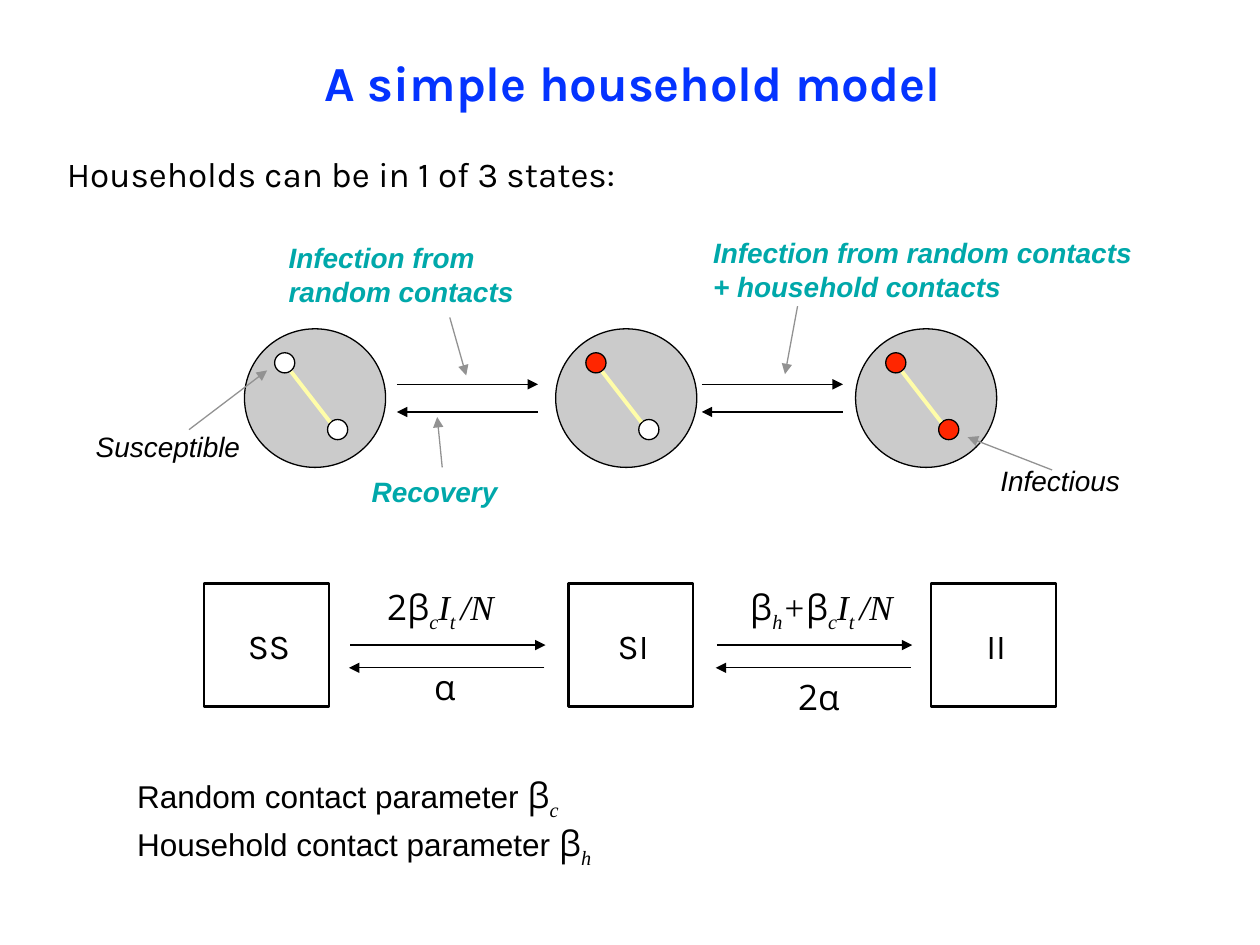
from dataclasses import dataclass

from lxml import etree
from pptx import Presentation
from pptx.dml.color import RGBColor
from pptx.enum import shapes, text
from pptx.oxml import ns
from pptx.util import Inches, Pt


@dataclass(frozen=True)
class Theme:
    title: str = "0433FF"
    ink: str = "000000"
    label: str = "00A8AA"
    pointer: str = "929292"
    house: str = "CBCBCB"
    bond: str = "FFFDA9"
    susceptible: str = "FFFFFF"
    infectious: str = "FF2600"
    heading_font: str = "Karla"
    label_font: str = "Arial"
    greek_font: str = "Open Sans"
    math_font: str = "Times New Roman"
    title_size: int = 28
    text_size: int = 20
    legend_size: int = 18
    label_size: int = 16
    thin: float = 0.75
    medium: float = 1.5
    thick: float = 2.25


def inches(values):
    return [Inches(value) for value in values]


class Page:
    def __init__(self, deck, theme):
        self.theme = theme
        self.slide = deck.slides.add_slide(deck.slide_layouts[1])

    def style(self, font, name, size, color, bold=False, italic=False):
        font.name, font.size = name, Pt(size)
        font.bold, font.italic = bold, italic
        font.color.rgb = RGBColor.from_string(color)

    def frame(self, shape, inset=0.06, anchor=text.MSO_ANCHOR.TOP):
        frame = shape.text_frame
        frame.word_wrap = True
        frame.auto_size = text.MSO_AUTO_SIZE.NONE
        frame.vertical_anchor = anchor
        frame.margin_left = frame.margin_right = Inches(inset)
        frame.margin_top = frame.margin_bottom = Inches(inset)
        return frame

    def indent(self, para, align):
        para.alignment = align
        properties = para._p.get_or_add_pPr()
        properties.set("marL", str(Inches(0.04)))
        properties.set("indent", "0")
        return properties

    def placeholder(self, index, box, words, size, color, bold, align):
        shape = self.slide.placeholders[index]
        shape.left, shape.top, shape.width, shape.height = inches(box)
        para = self.frame(shape).paragraphs[0]
        para.text = words
        properties = self.indent(para, align)
        para.space_before = Pt(0)
        etree.SubElement(properties, ns.qn("a:buNone"))
        self.style(para.font, self.theme.heading_font, size, color, bold)

    def label(self, box, words, color, bold=False):
        shape = self.slide.shapes.add_textbox(*inches(box))
        para = self.frame(shape).paragraphs[0]
        para.text = words
        self.indent(para, text.PP_ALIGN.LEFT)
        self.style(para.font, self.theme.label_font, self.theme.label_size,
                   color, bold, True)

    def formula(self, box, lines, align, inset=0.06):
        theme = self.theme
        kinds = {
            "plain": (theme.label_font, theme.legend_size, False),
            "greek": (theme.greek_font, theme.text_size, False),
            "math": (theme.math_font, theme.text_size, True),
            "sub": (theme.math_font, theme.text_size, True),
        }
        frame = self.frame(self.slide.shapes.add_textbox(*inches(box)), inset)
        for number, spans in enumerate(lines):
            para = frame.add_paragraph() if number else frame.paragraphs[0]
            self.indent(para, align)
            for kind, words in spans:
                span = para.add_run()
                span.text = words
                name, size, italic = kinds[kind]
                self.style(span.font, name, size, theme.ink, italic=italic)
                if kind == "sub":
                    span._r.get_or_add_rPr().set("baseline", "-25000")

    def shape(self, kind, box, fill, width):
        shape = self.slide.shapes.add_shape(kind, *inches(box))
        shape.shadow.inherit = False
        if fill:
            shape.fill.solid()
            shape.fill.fore_color.rgb = RGBColor.from_string(fill)
        else:
            shape.fill.background()
        shape.line.color.rgb = RGBColor.from_string(self.theme.ink)
        shape.line.width = Pt(width)
        return shape

    def line(self, start, end, color, width, arrow=True):
        line = self.slide.shapes.add_connector(
            shapes.MSO_CONNECTOR.STRAIGHT, *inches(start + end))
        line.line.color.rgb = RGBColor.from_string(color)
        line.line.width = Pt(width)
        if arrow:
            head = etree.SubElement(line.line._get_or_add_ln(), ns.qn("a:tailEnd"))
            head.set("type", "triangle")
        etree.SubElement(line._element.spPr, ns.qn("a:effectLst"))

    def household(self, left, first, second):
        top, theme = 2.61, self.theme
        oval = shapes.MSO_SHAPE.OVAL
        self.shape(oval, (left, top, 1.12, 1.1), theme.house, theme.thin)
        for across, down, fill in ((0.24, 0.19, first), (0.66, 0.72, second)):
            self.shape(oval, (left + across, top + down, 0.16, 0.16), fill, theme.thin)
        self.line((left + 0.37, top + 0.34), (left + 0.68, top + 0.74),
                  theme.bond, theme.thick, False)

    def state(self, left, name):
        theme = self.theme
        square = self.shape(shapes.MSO_SHAPE.RECTANGLE, (left, 4.63, 0.99, 0.98),
                            None, theme.medium)
        para = self.frame(square, anchor=text.MSO_ANCHOR.MIDDLE).paragraphs[0]
        para.text = name
        self.indent(para, text.PP_ALIGN.CENTER)
        self.style(para.font, theme.heading_font, theme.text_size, theme.ink)

    def exchange(self, left, right, upper, lower, shift=0):
        ink, thin = self.theme.ink, self.theme.thin
        self.line((left, upper), (right, upper), ink, thin)
        self.line((right - shift, lower), (left - shift, lower), ink, thin)


def main():
    theme = Theme()
    deck = Presentation()
    deck.slide_width, deck.slide_height = Inches(10), Inches(7.5)
    page = Page(deck, theme)
    align = text.PP_ALIGN

    page.placeholder(0, (0, 0.36, 10, 0.58), "A simple household model",
                     theme.title_size, theme.title, True, align.CENTER)
    page.placeholder(1, (0.43, 1.15, 5.22, 0.44), "Households can be in 1 of 3 states:",
                     theme.text_size, theme.ink, False, align.LEFT)

    healthy, sick = theme.susceptible, theme.infectious
    for left, first, second in ((1.94, healthy, healthy), (4.41, sick, healthy),
                                (6.79, sick, sick)):
        page.household(left, first, second)
    for left in (3.15, 5.57):
        page.exchange(left, left + 1.12, 3.05, 3.27)

    for box, words in (
        ((2.19, 1.85, 2.39, 0.6), "Infection from random contacts"),
        ((5.56, 1.81, 3.54, 0.6), "Infection from random contacts + household contacts"),
        ((2.85, 3.71, 2.75, 0.35), "Recovery"),
    ):
        page.label(box, words, theme.label, True)
    page.label((0.66, 3.35, 1.38, 0.35), "Susceptible", theme.ink)
    page.label((7.84, 3.62, 1.74, 0.35), "Infectious", theme.ink)

    for start, end in (
        ((3.57, 2.52), (3.7, 2.98)),
        ((6.33, 2.43), (6.23, 2.97)),
        ((3.51, 3.71), (3.47, 3.31)),
        ((1.5, 3.41), (2.12, 2.94)),
        ((8.35, 3.73), (7.68, 3.47)),
    ):
        page.line(start, end, theme.pointer, theme.thin)

    for left, name in ((1.62, "SS"), (4.51, "SI"), (7.39, "II")):
        page.state(left, name)
    for left in (2.78, 5.69):
        page.exchange(left, left + 1.55, 5.12, 5.3, 0.01)

    random_rate = [("sub", "c"), ("math", "I"), ("sub", "t "), ("math", "/N")]
    page.formula((2.72, 4.59, 1.26, 0.47), [[("greek", "2β")] + random_rate], align.RIGHT)
    page.formula((5.78, 4.59, 1.44, 0.47),
                 [[("greek", "β"), ("sub", "h"), ("math", "+"), ("greek", "β")] + random_rate],
                 align.CENTER)
    page.formula((2.88, 5.22, 1.26, 0.39), [[("greek", "α")]], align.CENTER)
    page.formula((5.85, 5.3, 1.26, 0.39), [[("greek", "2α")]], align.CENTER)

    legend = [[("plain", f"{name} contact parameter "), ("greek", "β"), ("sub", index)]
              for name, index in (("Random", "c"), ("Household", "h"))]
    page.formula((0.95, 6.04, 8.15, 1.22), legend, align.LEFT, 0.1)

    deck.save("out.pptx")


if __name__ == "__main__":
    main()
